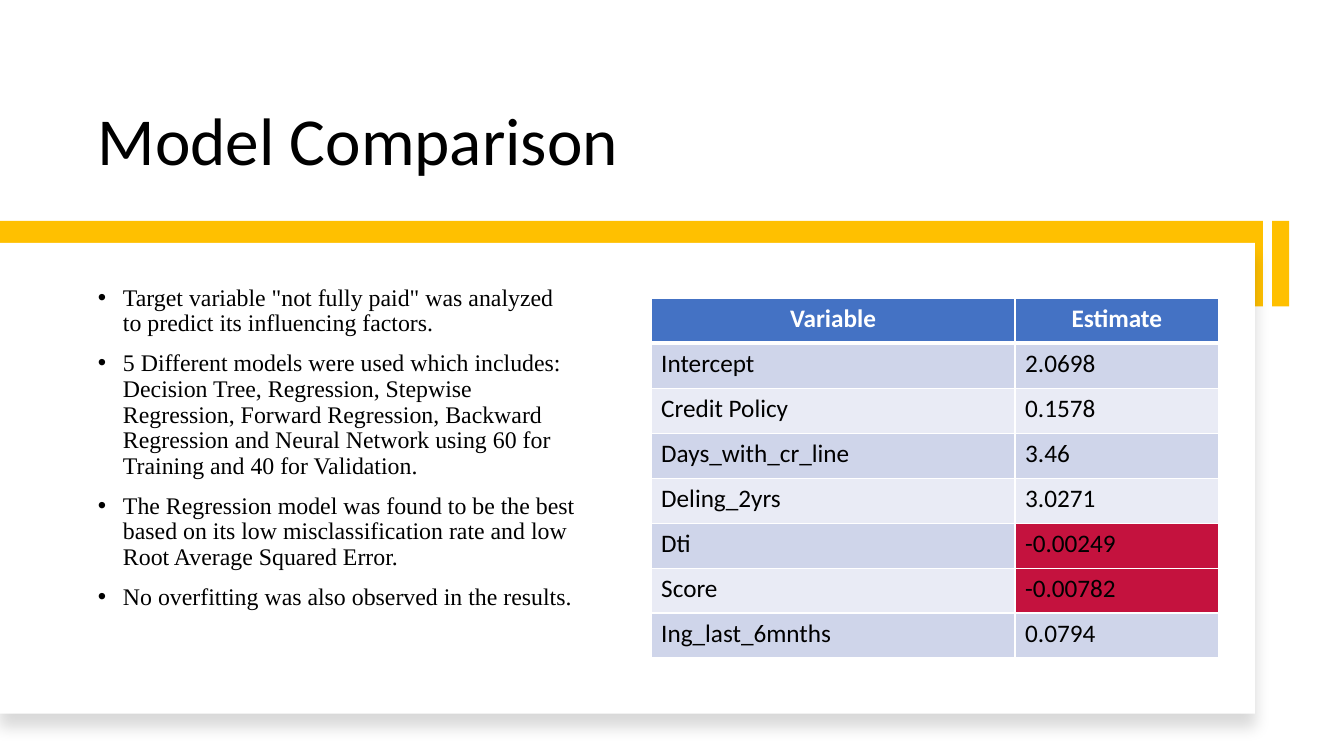
from lxml import etree
from pptx import Presentation, util as u
from pptx.dml.color import RGBColor
from pptx.enum import shapes, text
from pptx.oxml import parse_xml
from pptx.oxml.ns import nsdecls, qn

WIDTH, HEIGHT = u.Inches(13.33), u.Inches(7.5)
COLUMN, ROW = WIDTH / 40, HEIGHT / 30

GOLD, WHITE, BLACK, RED = "FFC000", "FFFFFF", "000000", "C4123E"
HEADER_BLUE, BANDS = "4472C4", ("CFD5EA", "E9EBF5")

FINDINGS = (
    'Target variable "not fully paid" was analyzed to predict its influencing factors.',
    "5 Different models were used which includes: Decision Tree, Regression, Stepwise "
    "Regression, Forward Regression, Backward Regression and Neural Network "
    "using 60 for Training and 40 for Validation.",
    "The Regression model was found to be the best based on its low "
    "misclassification rate and low Root Average Squared Error.",
    "No overfitting was also observed in the results.",
)
ESTIMATES = (
    ("Variable", "Estimate"),
    ("Intercept", "2.0698"),
    ("Credit Policy", "0.1578"),
    ("Days_with_cr_line", "3.46"),
    ("Deling_2yrs", "3.0271"),
    ("Dti", "-0.00249"),
    ("Score", "-0.00782"),
    ("Ing_last_6mnths", "0.0794"),
)


def rgb(hex_value):
    return RGBColor.from_string(hex_value)


def grid(left, top, width, height):
    """Turn grid columns and rows into slide lengths."""
    return [round(n * unit) for n, unit in
            zip((left, top, width, height), (COLUMN, ROW, COLUMN, ROW))]


def apply(target, formats):
    for name, value in formats.items():
        setattr(target, name, value)


def set_font(paragraph, color, **formats):
    apply(paragraph.font, formats)
    paragraph.font.color.rgb = rgb(color)


def place(placeholder, area, anchor):
    apply(placeholder, dict(zip(("left", "top", "width", "height"), grid(*area))))
    frame = placeholder.text_frame
    apply(frame, {"vertical_anchor": anchor, "word_wrap": True,
                  "auto_size": text.MSO_AUTO_SIZE.NONE})
    return frame


def add_block(slide, area, color):
    block = slide.shapes.add_shape(shapes.MSO_SHAPE.RECTANGLE, *grid(*area))
    block.shadow.inherit = False
    block.fill.solid()
    block.fill.fore_color.rgb = rgb(color)
    block.line.fill.background()
    return block


def cast_shadow(block):
    effects = block._element.spPr.find(qn("a:effectLst"))
    effects.append(parse_xml(
        f'<a:outerShdw {nsdecls("a")} blurRad="{u.Pt(11)}" dist="{u.Pt(10)}" '
        f'dir="5400000" algn="t" rotWithShape="0"><a:srgbClr val="{BLACK}">'
        '<a:alpha val="15000"/></a:srgbClr></a:outerShdw>'))


def write_title(title, area):
    paragraph = place(title, area, text.MSO_ANCHOR.BOTTOM).paragraphs[0]
    paragraph.text = "Model Comparison"
    apply(paragraph, {"alignment": text.PP_ALIGN.LEFT, "line_spacing": 0.9})
    set_font(paragraph, BLACK, name="Calibri", size=u.Pt(48))


def write_bullets(body, area, items):
    frame = place(body, area, text.MSO_ANCHOR.MIDDLE)
    for index, item in enumerate(items):
        paragraph = frame.add_paragraph() if index else frame.paragraphs[0]
        paragraph.text = item
        apply(paragraph, {"line_spacing": 0.9, "space_before": u.Pt(10 if index else 0)})
        properties = paragraph._p.get_or_add_pPr()
        properties.set("marL", str(u.Inches(0.25)))
        properties.set("indent", str(-u.Inches(0.25)))
        etree.SubElement(properties, qn("a:buFont"), typeface="Arial")
        etree.SubElement(properties, qn("a:buChar"), char="•")
        set_font(paragraph, BLACK, name="Times New Roman", size=u.Pt(17))


def set_borders(cell, bottom):
    properties = cell._tc.get_or_add_tcPr()
    for side, points in (("L", 1), ("R", 1), ("T", 1), ("B", bottom)):
        properties.append(parse_xml(
            f'<a:ln{side} {nsdecls("a")} w="{u.Pt(points)}"><a:solidFill>'
            f'<a:srgbClr val="{WHITE}"/></a:solidFill></a:ln{side}>'))


def fill_cell(cell, value, fill, is_header):
    set_borders(cell, bottom=3 if is_header else 1)
    cell.fill.solid()
    cell.fill.fore_color.rgb = rgb(fill)
    paragraph = cell.text_frame.paragraphs[0]
    paragraph.text = value
    paragraph.alignment = text.PP_ALIGN.CENTER if is_header else text.PP_ALIGN.LEFT
    set_font(paragraph, WHITE if is_header else BLACK,
             name="Calibri", size=u.Pt(18), bold=is_header)


def add_estimates(slide, area, column_widths, rows):
    table = slide.shapes.add_table(len(rows), len(column_widths), *grid(*area)).table
    for column, width in zip(table.columns, column_widths):
        column.width = round(width * COLUMN)
    for r, row in enumerate(rows):
        for c, value in enumerate(row):
            fill = BANDS[(r - 1) % 2] if r else HEADER_BLUE
            if value.startswith("-"):
                fill = RED
            fill_cell(table.cell(r, c), value, fill, is_header=r == 0)


def main():
    deck = Presentation()
    apply(deck, {"slide_width": WIDTH, "slide_height": HEIGHT})
    slide = deck.slides.add_slide(deck.slide_layouts[1])
    title, findings = slide.placeholders

    write_title(title, (2.61, 1.68, 33.03, 5.68))
    add_block(slide, (0, 8.76, 37.59, 3.4), GOLD)
    card = add_block(slide, (0, 9.64, 37.35, 18.68), WHITE)
    cast_shadow(card)
    card._element.addnext(findings._element)
    write_bullets(findings, (2.61, 11.36, 14.88, 12.84), FINDINGS)
    add_block(slide, (37.86, 8.76, 0.51, 3.4), GOLD)
    add_estimates(slide, (19.38, 11.84, 16.89, 14.28), (10.83, 6.06), ESTIMATES)
    deck.save("out.pptx")


if __name__ == "__main__":
    main()
